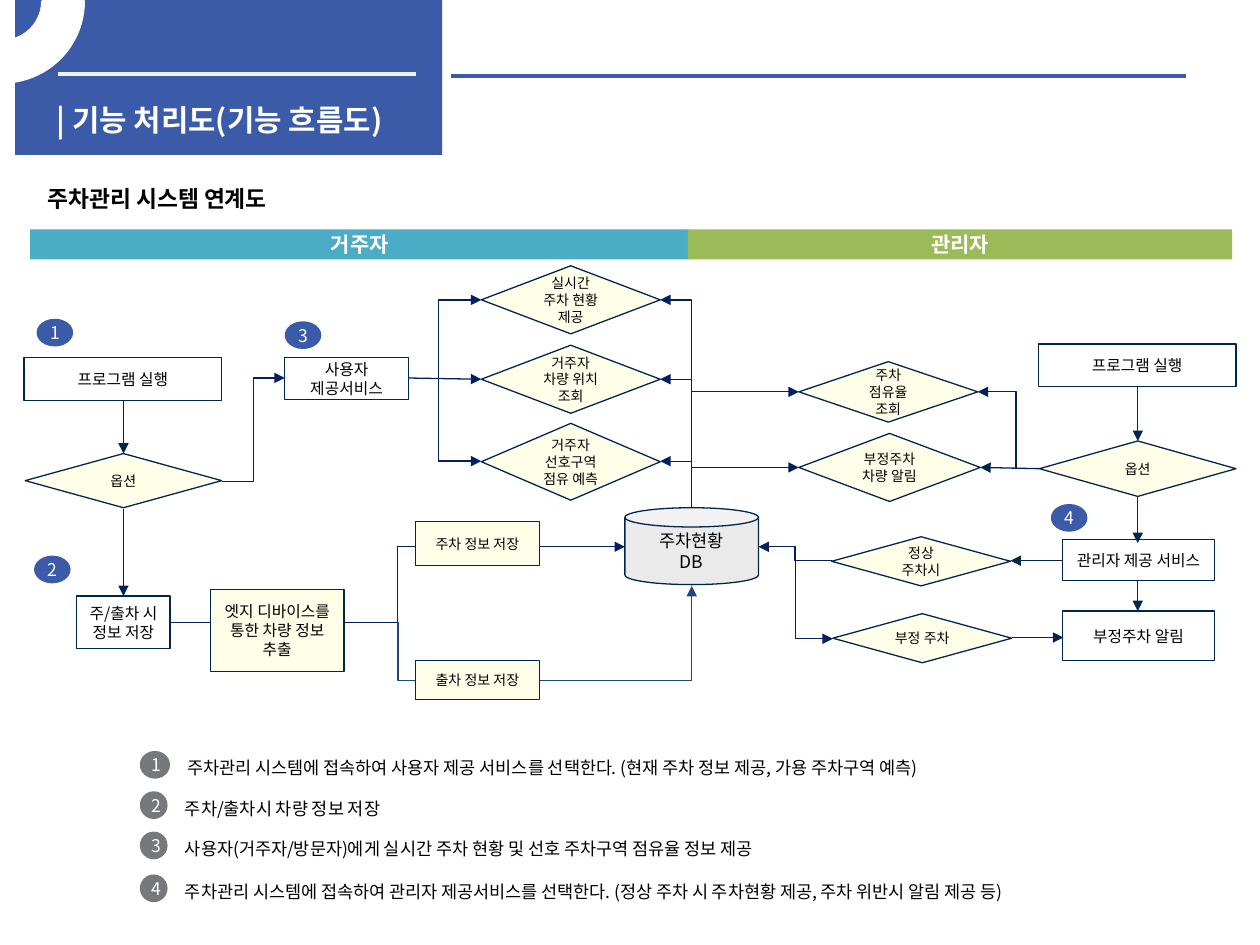
from lxml.etree import SubElement
from pptx import Presentation
from pptx.dml.color import RGBColor
from pptx.enum.shapes import MSO_CONNECTOR, MSO_SHAPE
from pptx.enum.text import MSO_ANCHOR, PP_ALIGN
from pptx.oxml.ns import qn
from pptx.util import Inches, Pt

COLORS = {
    "blue": "3B5AA8", "navy": "00264C", "flow": "002060", "exit": "1F497D",
    "resident": "4BACC6", "manager": "9BBB59", "cream": "FFFFE9", "db": "EAEAEA",
    "gray": "77787B", "pale": "F2F2F2", "white": "FFFFFF", "black": "000000",
}
FONT = "Noto Sans CJK KR"

prs = Presentation()
prs.slide_width, prs.slide_height = Inches(10), Inches(7.5)
slide = prs.slides.add_slide(prs.slide_layouts[6])
col, row = prs.slide_width / 100, prs.slide_height / 75


def block(kind, box, text="", size=9, fill=None, line=None, color="black",
          bold=False, inset=(0.4, 0.4), hang=0, spacing=None):
    left, top, width, height = box
    place = int(left * col), int(top * row), int(width * col), int(height * row)
    if kind is None:
        shape = slide.shapes.add_textbox(*place)
    else:
        shape = slide.shapes.add_shape(kind, *place)
        shape.shadow.inherit = False
        if fill:
            shape.fill.solid()
            shape.fill.fore_color.rgb = RGBColor.from_string(COLORS[fill])
        else:
            shape.fill.background()
        if line:
            shape.line.color.rgb = RGBColor.from_string(COLORS[line])
            shape.line.width = Pt(0.75)
        else:
            shape.line.fill.background()
    frame = shape.text_frame
    frame.word_wrap = True
    frame.margin_left = frame.margin_right = int(inset[0] * col)
    frame.margin_top = frame.margin_bottom = int(inset[1] * row)
    frame.vertical_anchor = MSO_ANCHOR.MIDDLE if kind else MSO_ANCHOR.TOP
    frame.text = text
    for paragraph in frame.paragraphs:
        paragraph.alignment = PP_ALIGN.CENTER if kind else PP_ALIGN.LEFT
        if spacing:
            paragraph.line_spacing = spacing
        if hang:
            properties = paragraph._p.get_or_add_pPr()
            properties.set("marL", str(int(hang * col)))
            properties.set("indent", str(-int(hang * col)))
        for run in paragraph.runs:
            run.font.size, run.font.bold, run.font.name = Pt(size), bold, FONT
            run.font.color.rgb = RGBColor.from_string(COLORS[color])
            SubElement(run._r.get_or_add_rPr(), qn("a:ea")).set("typeface", FONT)
    return shape


def connect(start, end, color="navy", bend=None, arrow=True, weight=0.75):
    (x1, y1), (x2, y2) = start, end
    upright = bend == "upright"
    if upright:
        middle_x, middle_y = (x1 + x2) / 2, (y1 + y2) / 2
        half_width, half_height = abs(y2 - y1) / 2, abs(x2 - x1) / 2
        x1, x2 = middle_x - half_width, middle_x + half_width
        y1, y2 = middle_y - half_height, middle_y + half_height
    kind = MSO_CONNECTOR.STRAIGHT if bend is None else MSO_CONNECTOR.ELBOW
    connector = slide.shapes.add_connector(
        kind, int(x1 * col), int(y1 * row), int(x2 * col), int(y2 * row))
    connector.line.color.rgb = RGBColor.from_string(COLORS[color])
    connector.line.width = Pt(weight)
    properties = connector._element.spPr
    geometry = properties.find(qn("a:prstGeom"))
    if bend in ("upright", "across"):
        geometry.set("prst", "bentConnector2")
    elif bend is not None:
        guide = SubElement(geometry.find(qn("a:avLst")), qn("a:gd"))
        guide.set("name", "adj1")
        guide.set("fmla", f"val {int(bend * 100000)}")
    if upright:
        rightward, downward = end[0] > start[0], end[1] > start[1]
        frame = properties.find(qn("a:xfrm"))
        frame.set("rot", str((270 if rightward else 90) * 60000))
        if rightward == downward:
            frame.set("flipH", "1")
    if arrow:
        SubElement(properties.find(qn("a:ln")), qn("a:tailEnd")).set("type", "triangle")
    SubElement(properties, qn("a:effectLst"))


block(MSO_SHAPE.RECTANGLE, (1.2, 0, 33.9, 12.3), fill="blue")
connect((4.6, 5.9), (33, 5.9), "pale", arrow=False, weight=2.25)
connect((35.8, 6), (94.1, 6), "blue", arrow=False, weight=2.25)
block(None, (3.5, 7.6, 30.7, 3.2), "| 기능 처리도(기능 흐름도)", 17,
      color="white", bold=True, inset=(1, 0.5))
ring = block(MSO_SHAPE.BLOCK_ARC, (-6.3, -6.3, 12.9, 12.8), fill="white", line="white")
ring.line.width = Pt(2)
ring.rotation = 180
ring._element.spPr.find(qn("a:xfrm")).set("flipH", "1")
for index, value in enumerate((161.59 * 0.6, 0, 0.25)):
    ring.adjustments[index] = value
block(None, (2.8, 13.7, 54.3, 3.2), "주차관리 시스템 연계도", 13,
      bold=True, inset=(1, 0.5), spacing=1.2)

for left, width, role, fill in ((2.4, 52.3, "거주자", "resident"), (54.6, 43.2, "관리자", "manager")):
    block(MSO_SHAPE.RECTANGLE, (left, 18.2, width, 2.4), role, 12, fill,
          color="white", bold=True, inset=(1, 0.5))

block(MSO_SHAPE.CAN, (49.6, 40.3, 10.6, 6.1), "주차현황\nDB", 10, "db", "navy")

for start, end in (
    ((9.8, 31.8), (9.8, 36)), ((9.8, 40.4), (9.8, 47.3)),
    ((90.3, 30.6), (90.3, 35)), ((90.3, 39.3), (90.3, 43.1)),
    ((90.3, 46.1), (90.3, 48.5)), ((84.3, 44.5), (80.2, 44.5)),
    ((80.3, 50.6), (84.4, 50.6)), ((82.5, 37.2), (77.8, 37.1)),
):
    connect(start, end)
connect((32.4, 30), (38.2, 30.1), "flow")

for start, end, share in (
    ((13.5, 49.4), (49.6, 43.4), 0.5), ((17.6, 38.2), (22.6, 30), 0.5),
    ((60.2, 43.4), (66.1, 50.7), 0.5), ((66, 44.5), (60.2, 43.4), 0.5),
    ((82.5, 37.2), (77.6, 31.1), 0.38),
):
    connect(start, end, "flow", share)

for target in ((52.4, 30.1), (52.4, 23.8), (52.4, 36.6), (63.4, 37.1), (63.4, 31.1)):
    connect((54.9, 40.3), target, "flow", "upright")
for level in (23.8, 36.6):
    connect((34.8, 30.1), (38.2, level), "flow", "upright")
connect((31.6, 49.4), (33, 54), "exit", "upright", arrow=False)
connect((42.8, 54), (54.9, 46.5), "exit", "across")

for box, step in (
    ((1.9, 28.4, 15.7, 3.4), "프로그램 실행"),
    ((6.1, 47.3, 7.4, 4.2), "주/출차 시 정보 저장"),
    ((22.6, 28.4, 9.8, 3.3), "사용자 제공서비스"),
    ((82.4, 27.3, 15.7, 3.4), "프로그램 실행"),
    ((84.3, 42.8, 12.1, 3.3), "관리자 제공 서비스"),
    ((84.3, 48.5, 12.1, 3.9), "부정주차 알림"),
):
    block(MSO_SHAPE.RECTANGLE, box, step, line="navy")

for box, record, size in (
    ((33, 41.4, 9.8, 3.5), "주차 정보 저장", 8),
    ((33, 52.4, 9.8, 3.1), "출차 정보 저장", 8),
    ((16.7, 46.8, 10.6, 6.5), "엣지 디바이스를 통한 차량 정보 추출", 9),
):
    block(MSO_SHAPE.RECTANGLE, box, record, size, "cream", "navy")

for box, decision in (
    ((2, 36, 15.6, 4.3), "옵션"),
    ((38.2, 21.1, 14.2, 5.4), "실시간 주차 현황 제공"),
    ((38.2, 27.4, 14.2, 5.4), "거주자 차량 위치 조회"),
    ((38.2, 33.6, 14.2, 6.1), "거주자 선호구역 점유 예측"),
    ((63.4, 28.7, 14.2, 4.8), "주차 점유율 조회"),
    ((63.4, 34.4, 14.4, 5.4), "부정주차 차량 알림"),
    ((82.5, 35, 15.6, 4.4), "옵션"),
    ((66, 42.6, 14.2, 3.9), "정상 주차시"),
    ((66.1, 48.7, 14.2, 3.9), "부정 주차"),
):
    block(MSO_SHAPE.FLOWCHART_DECISION, box, decision, 8, "cream", "navy", inset=(1, 0.5))

for number, (left, top) in enumerate(((2.9, 25.3), (2.7, 44.1), (22.6, 25.5), (83.4, 40)), 1):
    block(MSO_SHAPE.OVAL, (left, top, 2.9, 2.2), str(number), 10, "blue",
          color="white", inset=(0.6, 0.6), hang=0.9)

for number, (top, badge, width, note) in enumerate((
    (59.6, 2.4, 70.8, "주차관리 시스템에 접속하여 사용자 제공 서비스를 선택한다. (현재 주차 정보 제공, 가용 주차구역 예측)"),
    (62.8, 2.2, 28.4, "주차/출차시 차량 정보 저장"),
    (66, 2.2, 77.6, "사용자(거주자/방문자)에게 실시간 주차 현황 및 선호 주차구역 점유율 정보 제공"),
    (69.4, 2.2, 77.6, "주차관리 시스템에 접속하여 관리자 제공서비스를 선택한다. (정상 주차 시 주차현황 제공, 주차 위반시 알림 제공 등)"),
), 1):
    block(MSO_SHAPE.OVAL, (11.1, top, badge, 2.2), str(number), 10, "gray",
          color="white", inset=(0.6, 0.6), hang=0.9)
    block(None, (11.5 + badge, top - 0.3, width, 2.7), note, 10, inset=(1, 0.5), spacing=1.2)

prs.save("out.pptx")
